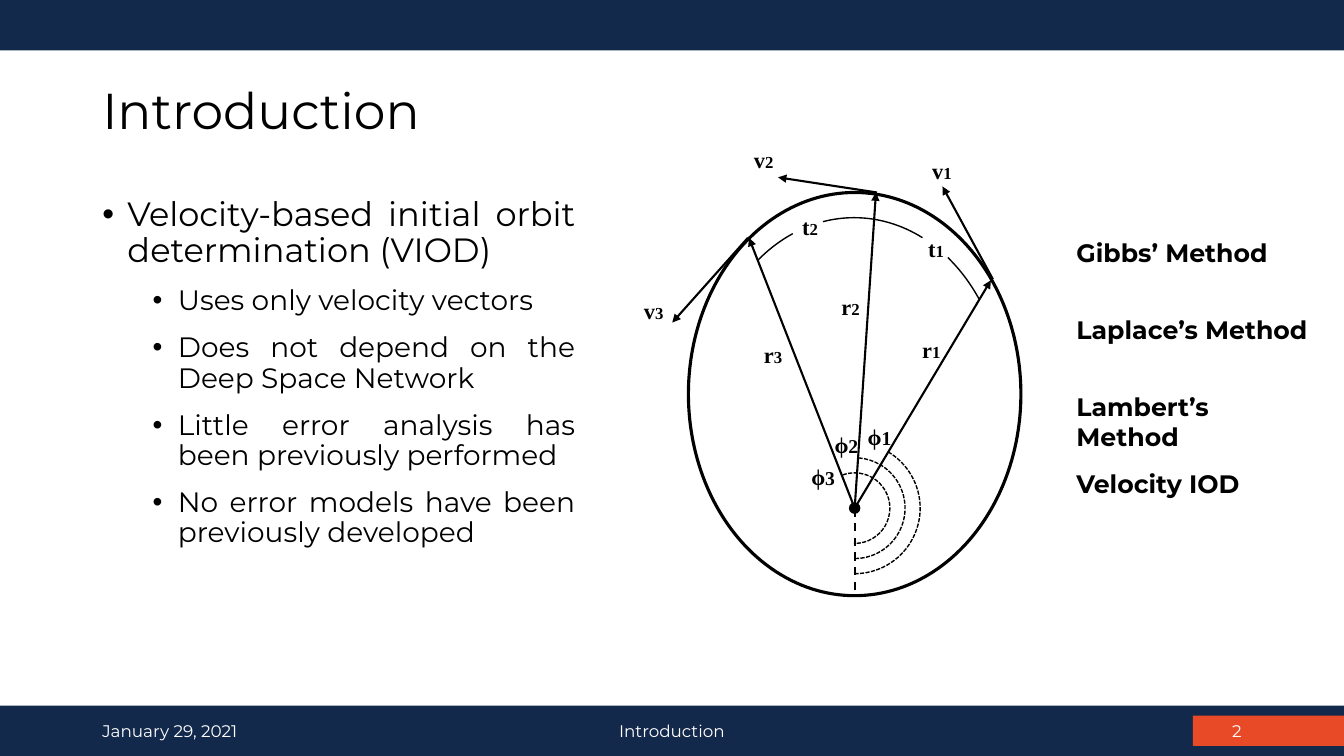
from dataclasses import dataclass

from lxml import etree
from pptx import Presentation
from pptx.dml.color import RGBColor
from pptx.enum.dml import MSO_LINE
from pptx.enum.shapes import MSO_CONNECTOR, MSO_SHAPE
from pptx.enum.text import MSO_ANCHOR, PP_ALIGN
from pptx.oxml.ns import qn
from pptx.util import Pt

RECTANGLE, OVAL, ARC = MSO_SHAPE.RECTANGLE, MSO_SHAPE.OVAL, MSO_SHAPE.ARC
STRAIGHT = MSO_CONNECTOR.STRAIGHT
DASH, SHORT_DASH = MSO_LINE.DASH, MSO_LINE.SQUARE_DOT
TOP, MIDDLE = MSO_ANCHOR.TOP, MSO_ANCHOR.MIDDLE
LEFT, CENTER, RIGHT, JUSTIFY = (
    PP_ALIGN.LEFT, PP_ALIGN.CENTER, PP_ALIGN.RIGHT, PP_ALIGN.JUSTIFY)


@dataclass(frozen=True)
class Theme:
    navy: RGBColor = RGBColor(0x13, 0x29, 0x4B)
    orange: RGBColor = RGBColor(0xE8, 0x4A, 0x27)
    black: RGBColor = RGBColor(0, 0, 0)
    white: RGBColor = RGBColor(0xFF, 0xFF, 0xFF)
    sans: str = "Montserrat"
    serif: str = "Times New Roman"
    title: int = 36
    body: int = 24
    sub_body: int = 20
    method: int = 18
    symbol: int = 16
    angle_index: int = 14
    index: int = 12
    footer: int = 12


THEME = Theme()
WIDTH, HEIGHT, BAR_HEIGHT = 960, 540, 36
FOCUS = (610.5, 363)
ORBIT = (491.75, 137.5, 237.5, 288)
TIME_FRAME = (503.3, 155.5, 213.8, 259.2)
SYMBOL_HEIGHT = 26.6

BULLETS = [
    (0, "Velocity-based initial orbit determination (VIOD)"),
    (1, "Uses only velocity vectors"),
    (1, "Does not depend on the Deep Space Network"),
    (1, "Little error analysis has been previously performed"),
    (1, "No error models have been previously developed"),
]
METHODS = ["Gibbs’ Method", "Laplace’s Method", "Lambert’s Method", "Velocity IOD"]
FOOTERS = [
    (66, 216, "January 29, 2021", LEFT),
    (318, 324, "Introduction", CENTER),
    (678, 216, "2", RIGHT),
]
RADIUS_ENDS = [(707.8, 200.2), (625.7, 137.5), (535, 169.9)]
VELOCITIES = [
    ((709.2, 199.4), (673.2, 133.2)),
    ((626.4, 137.5), (555.8, 126.7)),
    ((534.2, 169.9), (480.2, 230.4)),
]
ANGLE_STARTS = [250.32, 274.39, 300.76]
TIME_ARCS = [(303.48, 321.3), (260.04, 292.93), (235.05, 249.64)]
SYMBOLS = [
    ("v", "1", 658.8, 108.7), ("v", "2", 531.4, 100.8), ("v", "3", 452.9, 208.8),
    ("r", "1", 651.6, 236.9), ("r", "2", 594, 205.9), ("r", "3", 538.6, 239.8),
    ("ϕ", "1", 612.7, 298.8), ("ϕ", "2", 589, 304.6), ("ϕ", "3", 572.4, 327.6),
    ("t", "1", 655.9, 164.2), ("t", "2", 565.9, 149),
]


def points(values):
    return [Pt(value) for value in values]


def add_figure(slide, kind, box, fill=None, line_width=None, dash=None):
    shape = slide.shapes.add_shape(kind, *points(box))
    shape.shadow.inherit = False
    if fill is None:
        shape.fill.background()
    else:
        shape.fill.solid()
        shape.fill.fore_color.rgb = fill
    if line_width is None:
        shape.line.fill.background()
    else:
        shape.line.color.rgb = THEME.black
        shape.line.width = Pt(line_width)
        if dash is not None:
            shape.line.dash_style = dash
    return shape


def add_arc(slide, box, start, end, dash=None):
    arc = add_figure(slide, ARC, box, line_width=1, dash=dash)
    for position, degrees in enumerate((start, end)):
        arc.adjustments[position] = degrees * 0.6  # 60000 units a degree


def add_line(slide, start, end, arrow=True):
    connector = slide.shapes.add_connector(STRAIGHT, *points(start + end))
    connector.line.color.rgb = THEME.black
    connector.line.width = Pt(1.5)
    if not arrow:
        connector.line.dash_style = DASH
    properties = connector._element.spPr
    if arrow:
        etree.SubElement(properties.find(qn("a:ln")), qn("a:tailEnd"), type="triangle")
    etree.SubElement(properties, qn("a:effectLst"))


def add_text_box(slide, box, anchor=TOP, wrap=True):
    frame = slide.shapes.add_textbox(*points(box)).text_frame
    frame.word_wrap = wrap
    frame.vertical_anchor = anchor
    return frame


def add_run(paragraph, text, size, color=THEME.black, name=THEME.sans, bold=False):
    run = paragraph.add_run()
    run.text = text
    run.font.color.rgb = color
    for attribute, value in {"size": Pt(size), "name": name, "bold": bold}.items():
        setattr(run.font, attribute, value)


def add_bullet(paragraph, level, text):
    properties = paragraph._p.get_or_add_pPr()
    properties.set("marL", str(Pt(18 + 36 * level)))
    properties.set("indent", str(Pt(-18)))
    etree.SubElement(properties, qn("a:buFont"), typeface="Arial")
    etree.SubElement(properties, qn("a:buChar"), char="•")
    formats = {"level": level, "alignment": JUSTIFY,
               "line_spacing": 0.9, "space_after": Pt(12)}
    for attribute, value in formats.items():
        setattr(paragraph, attribute, value)
    add_run(paragraph, text, THEME.sub_body if level else THEME.body)


def add_symbol(slide, letter, index, left, top):
    is_angle = letter == "ϕ"
    width = 32.4 if is_angle else 28.8
    frame = add_text_box(slide, (left, top, width, SYMBOL_HEIGHT), wrap=False)
    index_size = THEME.angle_index if is_angle else THEME.index
    for text, size in ((letter, THEME.symbol), (index, index_size)):
        add_run(frame.paragraphs[0], text, size, name=THEME.serif, bold=True)


def add_bars_and_footers(slide):
    add_figure(slide, RECTANGLE, (0, HEIGHT - BAR_HEIGHT, WIDTH, BAR_HEIGHT), THEME.navy)
    add_figure(slide, RECTANGLE, (852, 511.2, 108, 21.6), THEME.orange)
    add_figure(slide, RECTANGLE, (0, 0, WIDTH, BAR_HEIGHT), THEME.navy)
    for left, width, text, alignment in FOOTERS:
        paragraph = add_text_box(slide, (left, 507.6, width, 28.8), MIDDLE).paragraphs[0]
        paragraph.alignment = alignment
        add_run(paragraph, text, THEME.footer, THEME.white)


def add_title_and_bullets(slide):
    title = add_text_box(slide, (66, 37.5, 828, 86.4), MIDDLE).paragraphs[0]
    title.line_spacing = 0.9
    add_run(title, "Introduction", THEME.title)
    body = add_text_box(slide, (66, 137.5, 352, 342.7))
    for number, (level, text) in enumerate(BULLETS):
        paragraph = body.add_paragraph() if number else body.paragraphs[0]
        add_bullet(paragraph, level, text)


def add_orbit(slide):
    x, y = FOCUS
    add_figure(slide, OVAL, ORBIT, line_width=2.25)
    add_figure(slide, OVAL, (x - 3.6, y - 3.6, 7.2, 7.2), THEME.black, 1)
    add_line(slide, FOCUS, (x, 425.5), arrow=False)
    for end in RADIUS_ENDS:
        add_line(slide, FOCUS, end)
    for start, end in VELOCITIES:
        add_line(slide, start, end)
    for number, start in enumerate(ANGLE_STARTS):
        radius = 25.2 + 10.8 * number
        box = (x - radius, y - radius, 2 * radius, 2 * radius)
        add_arc(slide, box, start, 91.05, SHORT_DASH)
    for start, end in TIME_ARCS:
        add_arc(slide, TIME_FRAME, start, end)
    for symbol in SYMBOLS:
        add_symbol(slide, *symbol)


def add_methods(slide):
    for row, method in enumerate(METHODS):
        frame = add_text_box(slide, (761.8, 165.6 + 55.2 * row, 180, 29))
        add_run(frame.paragraphs[0], method, THEME.method, bold=True)


def main():
    presentation = Presentation()
    presentation.slide_width, presentation.slide_height = Pt(WIDTH), Pt(HEIGHT)
    slide = presentation.slides.add_slide(presentation.slide_layouts[6])
    add_bars_and_footers(slide)
    add_title_and_bullets(slide)
    add_orbit(slide)
    add_methods(slide)
    presentation.save("out.pptx")


if __name__ == "__main__":
    main()
